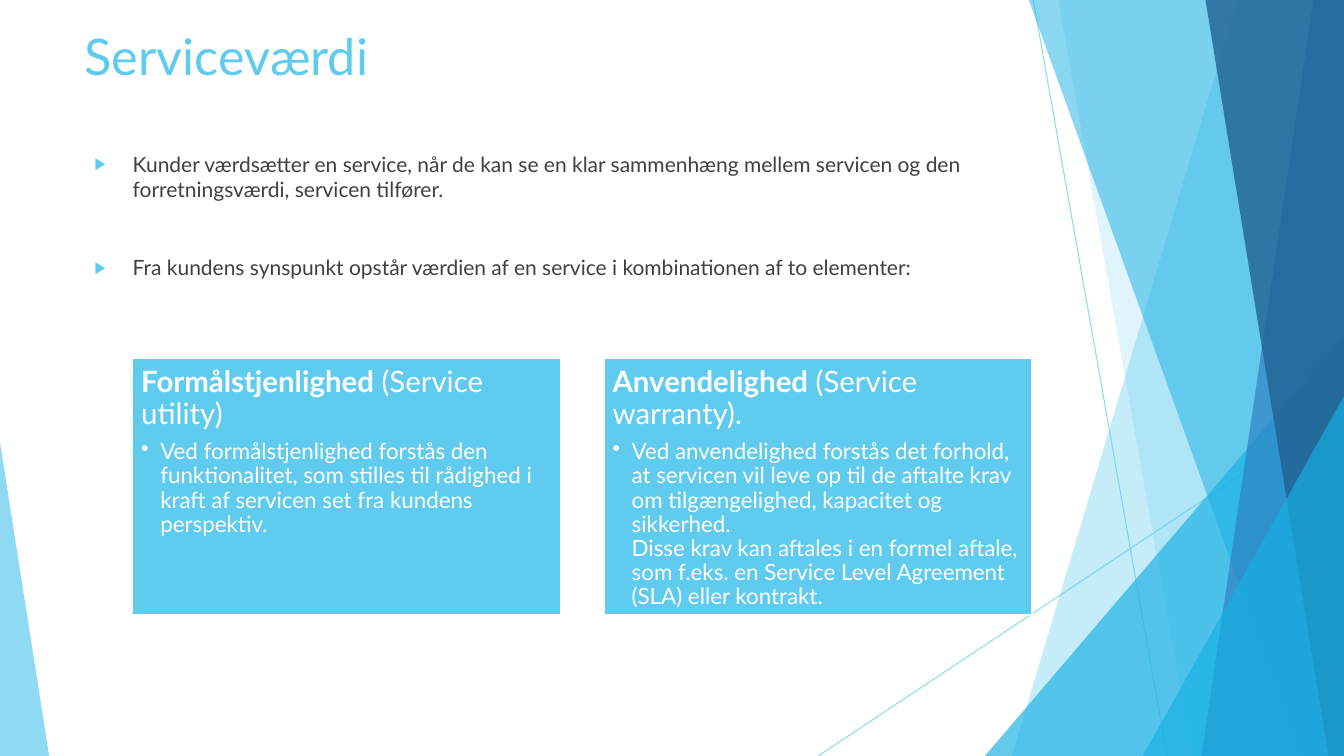
import dataclasses

import lxml.etree
import pptx
import pptx.dml.color
import pptx.enum.shapes
import pptx.enum.text
import pptx.oxml.ns
import pptx.util

Cm = pptx.util.Cm
Pt = pptx.util.Pt
qn = pptx.oxml.ns.qn


@dataclasses.dataclass(frozen=True)
class Theme:
    font: str = "Lato"
    sky: str = "5FCBEF"
    cyan: str = "17B0E4"
    blue: str = "2E83C3"
    navy: str = "226292"
    ink: str = "404040"
    white: str = "FFFFFF"
    title_size: int = 36
    heading_size: int = 21
    detail_size: int = 16
    point_size: int = 15


THEME = Theme()
WIDTH, HEIGHT = 33.87, 19.05


def rgb(color):
    return pptx.dml.color.RGBColor.from_string(color)


def set_alpha(fill_owner, percent):
    for color in fill_owner.iter(qn("a:srgbClr")):
        lxml.etree.SubElement(color, qn("a:alpha"), val=str(percent * 1000))


def add_run(paragraph, text, size, color, bold=False):
    run = paragraph.add_run()
    run.text = text
    run.font.name = THEME.font
    run.font.size = Pt(size)
    run.font.bold = bold
    run.font.color.rgb = rgb(color)


def set_bullet(paragraph, symbol, color, percent, indent):
    properties = paragraph._p.get_or_add_pPr()
    properties.set("marL", str(Cm(indent)))
    properties.set("indent", str(-Cm(indent)))
    bullet_color = lxml.etree.SubElement(properties, qn("a:buClr"))
    lxml.etree.SubElement(bullet_color, qn("a:srgbClr"), val=color)
    lxml.etree.SubElement(properties, qn("a:buSzPct"), val=str(percent * 1000))
    lxml.etree.SubElement(properties, qn("a:buChar"), char=symbol)


def tint(shape, color, alpha):
    shape.shadow.inherit = False
    shape.fill.solid()
    shape.fill.fore_color.rgb = rgb(color)
    shape.line.fill.background()
    set_alpha(shape._element.spPr, alpha)


def add_ray(slide, start, end):
    ray = slide.shapes.add_connector(
        pptx.enum.shapes.MSO_CONNECTOR.STRAIGHT, *map(Cm, start + end))
    ray.line.width = Pt(0.75)
    ray.line.color.rgb = rgb(THEME.sky)
    set_alpha(ray._element.spPr, 70)
    lxml.etree.SubElement(ray._element.spPr, qn("a:effectLst"))


def add_facet(slide, top_x, bottom_x, color, alpha):
    outline = slide.shapes.build_freeform(Cm(top_x), 0)
    corners = [(WIDTH, 0), (WIDTH, HEIGHT), (bottom_x, HEIGHT)]
    outline.add_line_segments([(Cm(x), Cm(y)) for x, y in corners], close=True)
    tint(outline.convert_to_shape(), color, alpha)


def add_wedge(slide, left, top, width, apex, color, alpha):
    wedge = slide.shapes.add_shape(
        pptx.enum.shapes.MSO_SHAPE.ISOSCELES_TRIANGLE,
        Cm(left), Cm(top), Cm(width), Cm(HEIGHT - top))
    wedge.adjustments[0] = apex
    tint(wedge, color, alpha)


def draw_backdrop(slide):
    add_ray(slide, (26.04, 0), (29.41, HEIGHT))
    add_ray(slide, (WIDTH, 10.24), (20.62, HEIGHT))
    add_facet(slide, 31.19, 25.5, THEME.sky, 36)
    add_facet(slide, 26.67, 30.05, THEME.sky, 20)
    add_wedge(slide, 24.82, 8.46, WIDTH - 24.82, 1, THEME.cyan, 66)
    add_facet(slide, 25.93, 32.79, THEME.cyan, 50)
    add_facet(slide, 33.1, 30.28, THEME.blue, 70)
    add_facet(slide, 30.38, 33.48, THEME.navy, 80)
    add_wedge(slide, 28.8, 9.98, WIDTH - 28.8, 1, THEME.cyan, 66)
    add_wedge(slide, 0, 11.15, 1.24, 0, THEME.sky, 70)


def place(slide, placeholder, box):
    slide.shapes.element.append(placeholder._element)
    placeholder.left, placeholder.top, placeholder.width, placeholder.height = map(Cm, box)
    frame = placeholder.text_frame
    frame.word_wrap = True
    frame.auto_size = pptx.enum.text.MSO_AUTO_SIZE.NONE
    frame.vertical_anchor = pptx.enum.text.MSO_ANCHOR.TOP
    return frame


def fill_title(slide, box, text):
    heading = place(slide, slide.shapes.title, box).paragraphs[0]
    heading.alignment = pptx.enum.text.PP_ALIGN.LEFT
    add_run(heading, text, THEME.title_size, THEME.sky)


def fill_points(slide, box, points):
    frame = place(slide, slide.placeholders[1], box)
    for index, text in enumerate(points):
        point = frame.add_paragraph() if index else frame.paragraphs[0]
        set_bullet(point, "▶", THEME.sky, 80, 0.96)
        point.space_before = Pt(38 if index else 0)
        add_run(point, text, THEME.point_size, THEME.ink)


def draw_card(slide, box, term, english, details):
    card = slide.shapes.add_shape(
        pptx.enum.shapes.MSO_SHAPE.RECTANGLE, *map(Cm, box))
    card.shadow.inherit = False
    card.fill.solid()
    card.fill.fore_color.rgb = rgb(THEME.sky)
    card.line.color.rgb = rgb(THEME.white)
    card.line.width = Pt(1.5)

    frame = card.text_frame
    frame.word_wrap = True
    frame.vertical_anchor = pptx.enum.text.MSO_ANCHOR.TOP
    frame.margin_left = frame.margin_right = Cm(0.23)
    frame.margin_top = frame.margin_bottom = Cm(0.23)

    heading = frame.paragraphs[0]
    heading.space_after = Pt(7)
    add_run(heading, term, THEME.heading_size, THEME.white, bold=True)
    add_run(heading, english, THEME.heading_size, THEME.white)

    detail = frame.add_paragraph()
    detail.level = 1
    set_bullet(detail, "•", THEME.white, 100, 0.48)
    for index, text in enumerate(details):
        if index:
            detail.add_line_break()
        add_run(detail, text, THEME.detail_size, THEME.white)

    for paragraph in (heading, detail):
        paragraph.alignment = pptx.enum.text.PP_ALIGN.LEFT
        paragraph.line_spacing = 0.9


def draw_cards(slide, box, cards, gap):
    left, top, width, height = box
    card_width = (width - gap * (len(cards) - 1)) / len(cards)
    for index, card in enumerate(cards):
        card_left = left + index * (card_width + gap)
        draw_card(slide, (card_left, top, card_width, height), *card)


def main():
    deck = pptx.Presentation()
    deck.slide_width, deck.slide_height = Cm(WIDTH), Cm(HEIGHT)
    slide = deck.slides.add_slide(deck.slide_layouts[1])
    draw_backdrop(slide)
    fill_title(slide, (1.88, 0.51, 23.88, 2.41), "Serviceværdi")
    fill_points(slide, (2.13, 3.68, 23.88, 4.24), [
        "Kunder værdsætter en service, når de kan se en klar sammenhæng mellem "
        "servicen og den forretningsværdi, servicen tilfører.",
        "Fra kundens synspunkt opstår værdien af en service i kombinationen af "
        "to elementer:",
    ])
    draw_cards(slide, (3.33, 9.02, 22.68, 6.48), [
        ("Formålstjenlighed", " (Service utility)", [
            "Ved formålstjenlighed forstås den funktionalitet, som stilles til "
            "rådighed i kraft af servicen set fra kundens perspektiv."]),
        ("Anvendelighed", " (Service warranty).", [
            "Ved anvendelighed forstås det forhold, at servicen vil leve op til de "
            "aftalte krav om tilgængelighed, kapacitet og sikkerhed.",
            "Disse krav kan aftales i en formel aftale, som f.eks. en Service Level "
            "Agreement (SLA) eller kontrakt."]),
    ], gap=1.08)
    deck.save("out.pptx")


if __name__ == "__main__":
    main()
